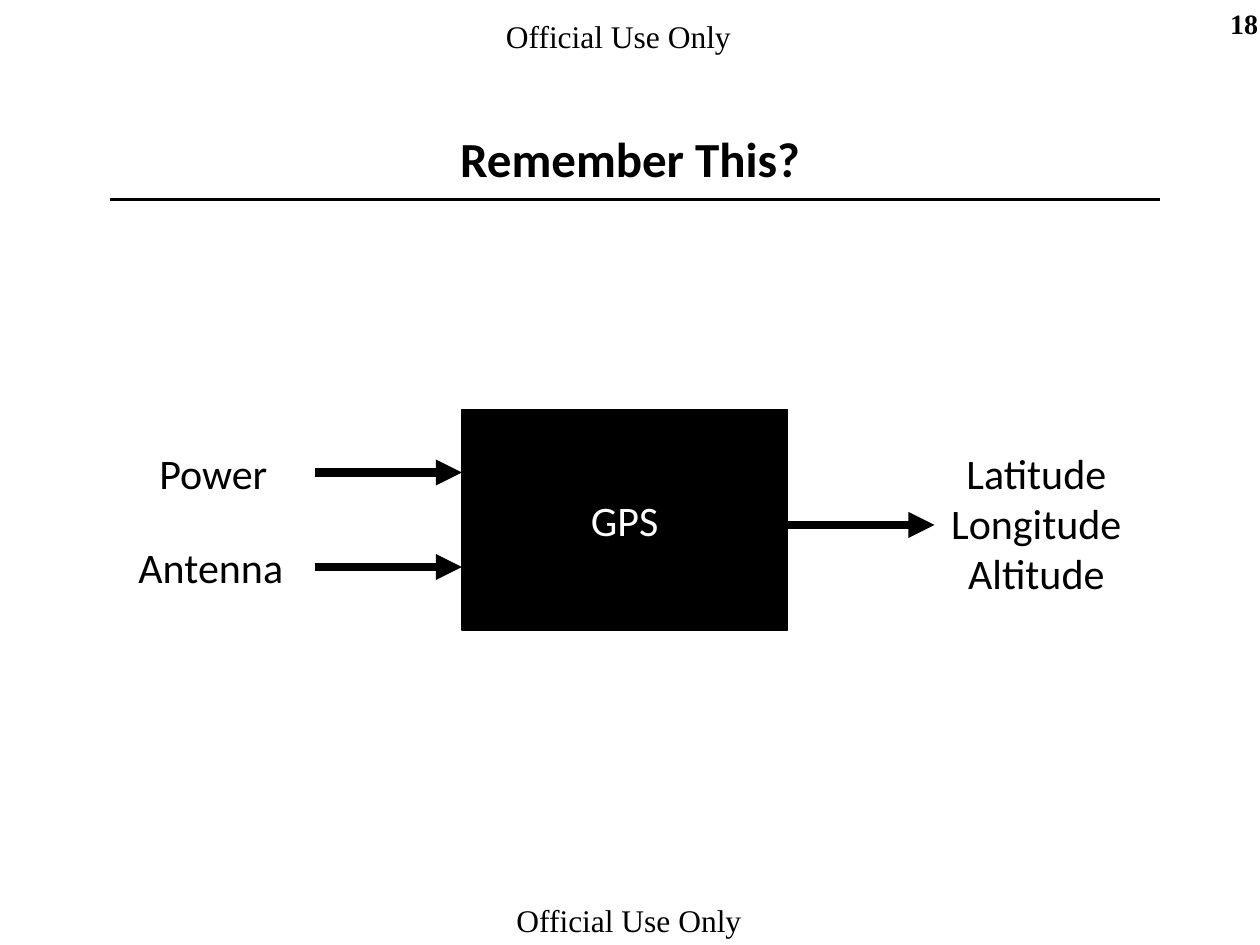
from dataclasses import dataclass

from lxml.etree import SubElement as SubEl
from pptx import Presentation
from pptx.dml.color import RGBColor as Rgb
from pptx.enum.shapes import MSO_CONNECTOR as Link, MSO_SHAPE as Form
from pptx.enum.text import MSO_ANCHOR as Anchor, PP_ALIGN as Align
from pptx.oxml.ns import qn
from pptx.util import Inches, Pt

COLORS = {"ink": "000000", "paper": "FFFFFF"}
SANS, SERIF = "Calibri", "Times New Roman"
COLS, ROWS = 120, 90
WIDE, HIGH = Inches(10), Inches(7.5)


@dataclass(frozen=True)
class Area:
    col: float
    row: float
    cols: float
    rows: float

    def place(self) -> tuple[int, int, int, int]:
        return (across(self.col), down(self.row),
                across(self.cols), down(self.rows))


@dataclass(frozen=True)
class Style:
    font: str
    size: int
    bold: bool = False
    color: str = "ink"
    align: Align = Align.LEFT


@dataclass(frozen=True)
class Label:
    area: Area
    paras: tuple[tuple[str, ...], ...]
    style: Style
    wrap: bool = False


@dataclass(frozen=True)
class Stroke:
    start: float
    end: float
    row: float
    weight: float = 5
    head: bool = True


BANNER = Style(SERIF, 18)
NUMBER = Style(SERIF, 16, bold=True, align=Align.RIGHT)
TITLE = Style(SANS, 28, bold=True, align=Align.CENTER)
INPUT = Style(SANS, 24)
OUTPUT = Style(SANS, 24, align=Align.CENTER)
DEVICE = Style(SANS, 24, color="paper", align=Align.CENTER)

HEAD = Area(9, 7, 102, 16)
BOX = Area(44, 39, 31, 21)
REACH = 14
LABELS = (
    Label(Area(47, 1, 26, 4.8), (("Official Use Only",),), BANNER, True),
    Label(Area(48, 85.2, 26, 4.8), (("Official Use Only",),), BANNER, True),
    Label(Area(113, 0, 8, 4.4), (("18",),), NUMBER, True),
    Label(Area(14, 42, 12.8, 6), (("Power",),), INPUT),
    Label(Area(12, 51, 16.2, 6), (("Antenna",),), INPUT),
    Label(Area(89.4, 42, 18.6, 15.6),
          (("Latitude", "Longitude"), ("Altitude",)), OUTPUT),
)
EDGE = BOX.col + BOX.cols
STROKES = (
    Stroke(10.5, 110.5, 19, weight=2, head=False),
    Stroke(BOX.col - REACH, BOX.col, 45),
    Stroke(BOX.col - REACH, BOX.col, 54),
    Stroke(EDGE, EDGE + REACH, 50),
)


def across(cols: float) -> int:
    return round(WIDE * cols / COLS)


def down(rows: float) -> int:
    return round(HIGH * rows / ROWS)


def tint(name: str) -> Rgb:
    return Rgb.from_string(COLORS[name])


def write(frame, paras: tuple[tuple[str, ...], ...], style: Style) -> None:
    for i, lines in enumerate(paras):
        para = frame.add_paragraph() if i else frame.paragraphs[0]
        para.alignment = style.align
        for j, line in enumerate(lines):
            if j:
                para.add_line_break()
            run = para.add_run()
            run.text = line
            run.font.name = style.font
            run.font.size = Pt(style.size)
            run.font.bold = style.bold
            run.font.color.rgb = tint(style.color)


def draw_label(slide, label: Label) -> None:
    frame = slide.shapes.add_textbox(*label.area.place()).text_frame
    frame.word_wrap = label.wrap
    write(frame, label.paras, label.style)


def draw_title(slide, text: str) -> None:
    title = slide.shapes.title
    title.left, title.top, title.width, title.height = HEAD.place()
    title.text_frame.vertical_anchor = Anchor.MIDDLE
    write(title.text_frame, ((text,),), TITLE)


def draw_box(slide, text: str) -> None:
    box = slide.shapes.add_shape(Form.RECTANGLE, *BOX.place())
    box.shadow.inherit = False
    box.fill.solid()
    box.fill.fore_color.rgb = tint("ink")
    box.line.color.rgb = tint("ink")
    box.line.width = Pt(1)
    box.text_frame.word_wrap = False
    box.text_frame.vertical_anchor = Anchor.MIDDLE
    write(box.text_frame, ((text,),), DEVICE)


def draw_stroke(slide, stroke: Stroke) -> None:
    y = down(stroke.row)
    line = slide.shapes.add_connector(
        Link.STRAIGHT, across(stroke.start), y, across(stroke.end), y)
    line.line.color.rgb = tint("ink")
    line.line.width = Pt(stroke.weight)
    if stroke.head:
        SubEl(line.line._get_or_add_ln(), qn("a:tailEnd"), type="triangle")
    SubEl(line._element.spPr, qn("a:effectLst"))


def main() -> None:
    deck = Presentation()
    deck.slide_width, deck.slide_height = WIDE, HIGH
    slide = deck.slides.add_slide(deck.slide_layouts[5])
    slide.background.fill.solid()
    slide.background.fill.fore_color.rgb = tint("paper")
    draw_title(slide, "Remember This?")
    draw_box(slide, "GPS")
    for stroke in STROKES:
        draw_stroke(slide, stroke)
    for label in LABELS:
        draw_label(slide, label)
    deck.save("out.pptx")


if __name__ == "__main__":
    main()
